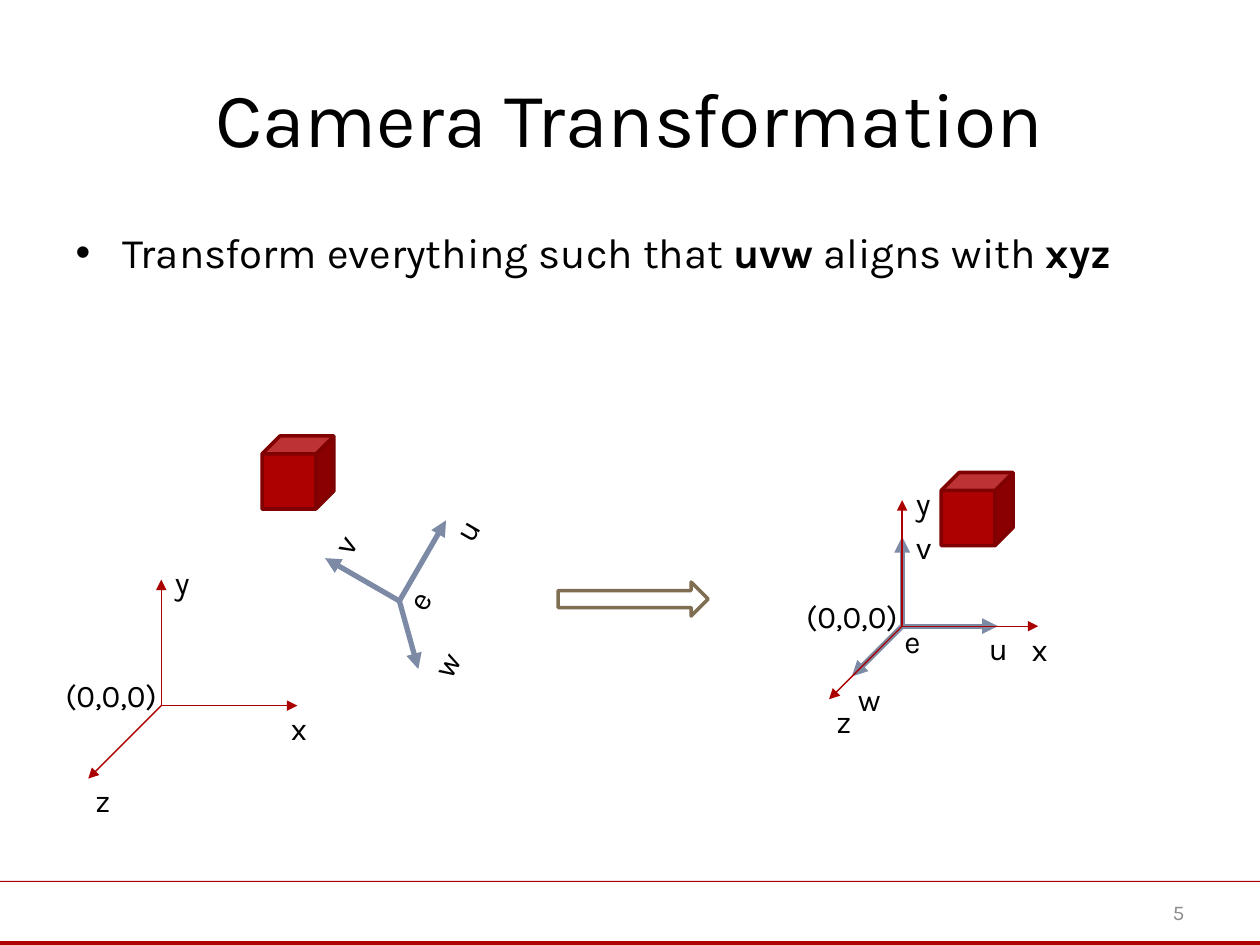
from lxml import etree
from pptx import Presentation
from pptx import util as u
from pptx.dml.color import RGBColor
from pptx.enum import shapes, text
from pptx.oxml.ns import qn

RED = RGBColor(0xAD, 0x01, 0x01)
DARK_RED = RGBColor(0x80, 0x01, 0x01)
AXIS_RED = RGBColor(0xAA, 0x00, 0x00)
SLATE = RGBColor(0x7C, 0x8A, 0xA6)
BROWN = RGBColor(0x7F, 0x6E, 0x51)
GRAY = RGBColor(0x8C, 0x8C, 0x8C)
BLACK = RGBColor(0x00, 0x00, 0x00)

WORLD_AXES = [(1.08, 0), (0, -1), (-0.58, 0.58)]
WORLD_LABELS = [("x", 0.93, -0.02, 0.33), ("y", 0.01, -1.18, 0.33),
                ("z", -0.62, 0.55, 0.33), ("(0,0,0)", -0.86, -0.28, 0.93)]
CAMERA_AXES = [(0.37, -0.64), (-0.59, -0.34), (0.15, 0.54)]
CAMERA_LABELS = [("u", 0.33, -0.68, 0.23), ("v", -0.63, -0.57, 0.22),
                 ("w", 0.16, 0.39, 0.26), ("e", -0.04, -0.13, 0.23)]
ALIGNED_AXES = [(0.76, 0), (0, -0.71), (-0.4, 0.4)]
ALIGNED_LABELS = [("u", 0.59, -0.03, 0.24), ("v", 0.01, -0.83, 0.23),
                  ("w", -0.45, 0.38, 0.27), ("e", -0.08, -0.08, 0.24)]


def inches(*values):
    """Convert numbers to lengths."""
    return [u.Inches(v) for v in values]


def add_run(p, words, size=18, color=BLACK, bold=None):
    """Append a formatted run to a paragraph."""
    r = p.add_run()
    r.text = words
    r.font.name = "Karla"
    r.font.size = u.Pt(size)
    r.font.bold = bold
    r.font.color.rgb = color


def add_label(parent, words, box, rotation=0):
    """Place an unwrapped label that grows with its text."""
    sp = parent.add_textbox(*inches(*box))
    sp.rotation = rotation
    tf = sp.text_frame
    tf.word_wrap = False
    tf.auto_size = text.MSO_AUTO_SIZE.SHAPE_TO_FIT_TEXT
    add_run(tf.paragraphs[0], words)


def add_arrow(parent, start, end, color, width):
    """Draw a straight line with a triangle at its end."""
    line = parent.add_connector(shapes.MSO_CONNECTOR.STRAIGHT, *inches(*start, *end))
    line.line.color.rgb = color
    line.line.width = u.Pt(width)
    ln = line.line._get_or_add_ln()
    etree.SubElement(ln, qn("a:tailEnd"), type="triangle")
    etree.SubElement(line._element.spPr, qn("a:effectLst"))


def add_preset(parent, kind, box, fill=None, line=None):
    """Add a preset shape with optional fill and outline."""
    sp = parent.add_shape(kind, *inches(*box))
    sp.shadow.inherit = False
    if fill is None:
        sp.fill.background()
    else:
        sp.fill.solid()
        sp.fill.fore_color.rgb = fill
    if line is None:
        sp.line.fill.background()
    else:
        sp.line.color.rgb = line
        sp.line.width = u.Pt(2)


def add_frame(parent, origin, axes, labels, color, width, height, rotation=0):
    """Draw a coordinate frame with labels around its origin."""
    x, y = origin
    for dx, dy in axes:
        add_arrow(parent, origin, (x + dx, y + dy), color, width)
    for words, dx, dy, w in labels:
        add_label(parent, words, (x + dx, y + dy, w, height), rotation)


def add_world(parent, origin):
    """Draw the xyz frame."""
    add_frame(parent, origin, WORLD_AXES, WORLD_LABELS, AXIS_RED, 0.75, 0.4)


def add_cube(parent, left, top):
    """Draw the red cube."""
    add_preset(parent, shapes.MSO_SHAPE.CUBE, (left, top, 0.57, 0.58), RED, DARK_RED)


def add_heading(s, box):
    """Fill the title placeholder."""
    sp = s.shapes.title
    sp.left, sp.top, sp.width, sp.height = inches(*box)
    sp.text_frame.vertical_anchor = text.MSO_ANCHOR.MIDDLE
    p = sp.text_frame.paragraphs[0]
    p.alignment = text.PP_ALIGN.CENTER
    add_run(p, "Camera Transformation", size=44)


def add_body(s, box):
    """Fill the body placeholder with the bullet."""
    sp = s.placeholders[1]
    sp.left, sp.top, sp.width, sp.height = inches(*box)
    p = sp.text_frame.paragraphs[0]
    for words, bold in [("Transform everything such that ", False), ("uvw", True),
                        (" aligns with ", False), ("xyz", True)]:
        add_run(p, words, size=24, bold=bold)


def add_footer(s, box):
    """Draw the footer rules and the slide number."""
    x, y, w, h = box
    for top, height in [(y, 0.01), (y + h - 0.03, 0.03)]:
        add_preset(s.shapes, shapes.MSO_SHAPE.RECTANGLE, (x, top, w, height), RED)
    sp = s.shapes.add_textbox(*inches(x + w - 2.83, y + 0.05, 2.33, 0.4))
    tf = sp.text_frame
    tf.word_wrap = True
    tf.vertical_anchor = text.MSO_ANCHOR.MIDDLE
    p = tf.paragraphs[0]
    p.alignment = text.PP_ALIGN.RIGHT
    add_run(p, "5", size=12, color=GRAY)


def add_before(s, origin):
    """Draw the world, the cube and the tilted camera."""
    x, y = origin
    add_world(s.shapes.add_group_shape().shapes, origin)
    add_cube(s.shapes, x + 0.8, y - 2.14)
    add_frame(s.shapes.add_group_shape().shapes, (x + 1.89, y - 0.83),
              CAMERA_AXES, CAMERA_LABELS, SLATE, 3, 0.27, rotation=300)


def add_after(s, origin):
    """Draw the camera aligned with the world, and the cube."""
    x, y = origin
    group = s.shapes.add_group_shape().shapes
    add_frame(group, origin, ALIGNED_AXES, ALIGNED_LABELS, SLATE, 3, 0.28)
    add_world(group, origin)
    add_cube(group, x + 0.31, y - 1.22)


def main():
    """Build and save the slide."""
    prs = Presentation()
    prs.slide_width, prs.slide_height = inches(10, 7.5)
    s = prs.slides.add_slide(prs.slide_layouts[1])
    add_footer(s, (0, 6.99, 10, 0.51))
    add_heading(s, (0.5, 0.3, 9, 1.25))
    add_body(s, (0.5, 1.75, 9, 4.95))
    add_before(s, (1.28, 5.6))
    add_after(s, (7.16, 4.97))
    add_preset(s.shapes, shapes.MSO_SHAPE.RIGHT_ARROW, (4.43, 4.62, 1.19, 0.27), line=BROWN)
    prs.save("out.pptx")


if __name__ == "__main__":
    main()
